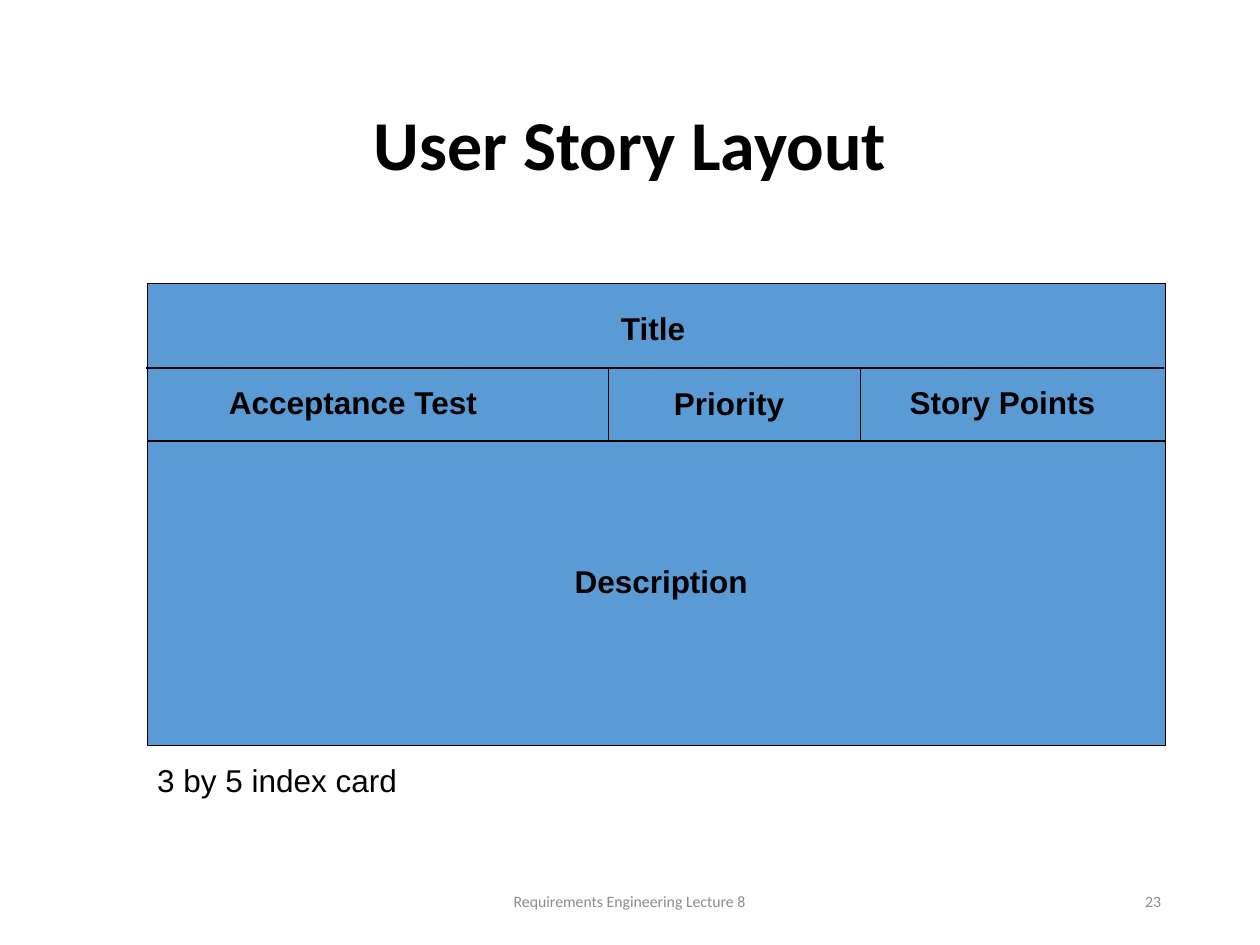
from lxml.etree import SubElement
from pptx import Presentation
from pptx.dml.color import RGBColor
from pptx.enum.shapes import MSO_CONNECTOR as Connector, MSO_SHAPE as Shape
from pptx.enum.text import MSO_ANCHOR as Anchor, MSO_AUTO_SIZE as AutoSize, PP_ALIGN as Align
from pptx.oxml.ns import qn
from pptx.util import Pt

COLORS = {"card": "5B9BD5", "ink": "000000", "footer": "8C8C8C"}
HEADING = {"name": "Calibri", "size": Pt(40), "bold": True}
LABEL = {"name": "Arial", "size": Pt(18), "bold": True}
CAPTION = {"name": "Arial", "size": Pt(18), "bold": False}
FOOTER = {"name": "Calibri", "size": Pt(9), "bold": False}


def color(name):
    """Return the named colour."""
    return RGBColor.from_string(COLORS[name])


def write_text(shape, text, font, ink="ink", align=Align.LEFT, anchor=Anchor.TOP):
    """Fill a shape with one formatted paragraph."""
    frame = shape.text_frame
    frame.word_wrap = True
    frame.vertical_anchor = anchor
    paragraph = frame.paragraphs[0]
    paragraph.alignment = align
    run = paragraph.add_run()
    run.text = text
    for attribute, value in font.items():
        setattr(run.font, attribute, value)
    run.font.color.rgb = color(ink)
    return frame


def add_text(slide, box, text, font, **options):
    """Add a text box."""
    shape = slide.shapes.add_textbox(*map(Pt, box))
    return write_text(shape, text, font, **options)


def add_rule(slide, start, end):
    """Add a thin line between two points."""
    line = slide.shapes.add_connector(Connector.STRAIGHT, *map(Pt, start + end))
    line.line.color.rgb = color("ink")
    line.line.width = Pt(0.75)
    SubElement(line._element.spPr, qn("a:effectLst"))


def add_title(slide, box):
    """Place and format the slide title."""
    title = slide.shapes.title
    title.left, title.top, title.width, title.height = map(Pt, box)
    frame = write_text(title, "User Story Layout", HEADING,
                       align=Align.CENTER, anchor=Anchor.MIDDLE)
    frame.auto_size = AutoSize.NONE
    frame.paragraphs[0].line_spacing = 0.9


def add_story_card(slide, box):
    """Draw the index card with its sections, labels and caption."""
    left, top, width, height = box
    card = slide.shapes.add_shape(Shape.RECTANGLE, *map(Pt, box))
    card.shadow.inherit = False
    card.fill.solid()
    card.fill.fore_color.rgb = color("card")
    card.line.color.rgb = color("ink")
    card.line.width = Pt(0.75)

    title_bottom, fields_bottom = top + 48.25, top + 90
    for y, shift in ((title_bottom, -1), (fields_bottom, 0)):
        add_rule(slide, (left + shift, y), (left + width + shift, y))
    for x in (263.5, 407.5):
        add_rule(slide, (left + x, title_bottom), (left + x, fields_bottom))

    labels = (
        ("Title", 263.5, 10.75, 70.5, LABEL),
        ("Acceptance Test", 39.5, 53.5, 204, LABEL),
        ("Priority", 293.75, 54, 96, LABEL),
        ("Story Points", 428.5, 53.5, 132, LABEL),
        ("Description", 237, 155.5, 210, LABEL),
        ("3 by 5 index card", -1.5, height + 5.25, 174, CAPTION),
    )
    for text, x, y, label_width, font in labels:
        frame = add_text(slide, (left + x, top + y, label_width, 29), text, font)
        frame.auto_size = AutoSize.SHAPE_TO_FIT_TEXT


def add_footer(slide, box):
    """Place the lecture name and slide number along the footer."""
    left, top, width, height = box
    parts = (
        ("Requirements Engineering Lecture 8", 188.5, 243.5, Align.CENTER),
        ("23", width - 162, 162, Align.RIGHT),
    )
    for text, x, part_width, align in parts:
        add_text(slide, (left + x, top, part_width, height), text, FOOTER,
                 ink="footer", align=align, anchor=Anchor.MIDDLE)


def main():
    """Build and save the presentation."""
    presentation = Presentation()
    presentation.slide_width, presentation.slide_height = Pt(720), Pt(540)
    slide = presentation.slides.add_slide(presentation.slide_layouts[5])
    add_title(slide, (49.5, 55.5, 621, 58.5))
    add_story_card(slide, (84.25, 162, 581.75, 264.25))
    add_footer(slide, (49.5, 500.5, 621, 28.75))
    presentation.save("out.pptx")


main()
